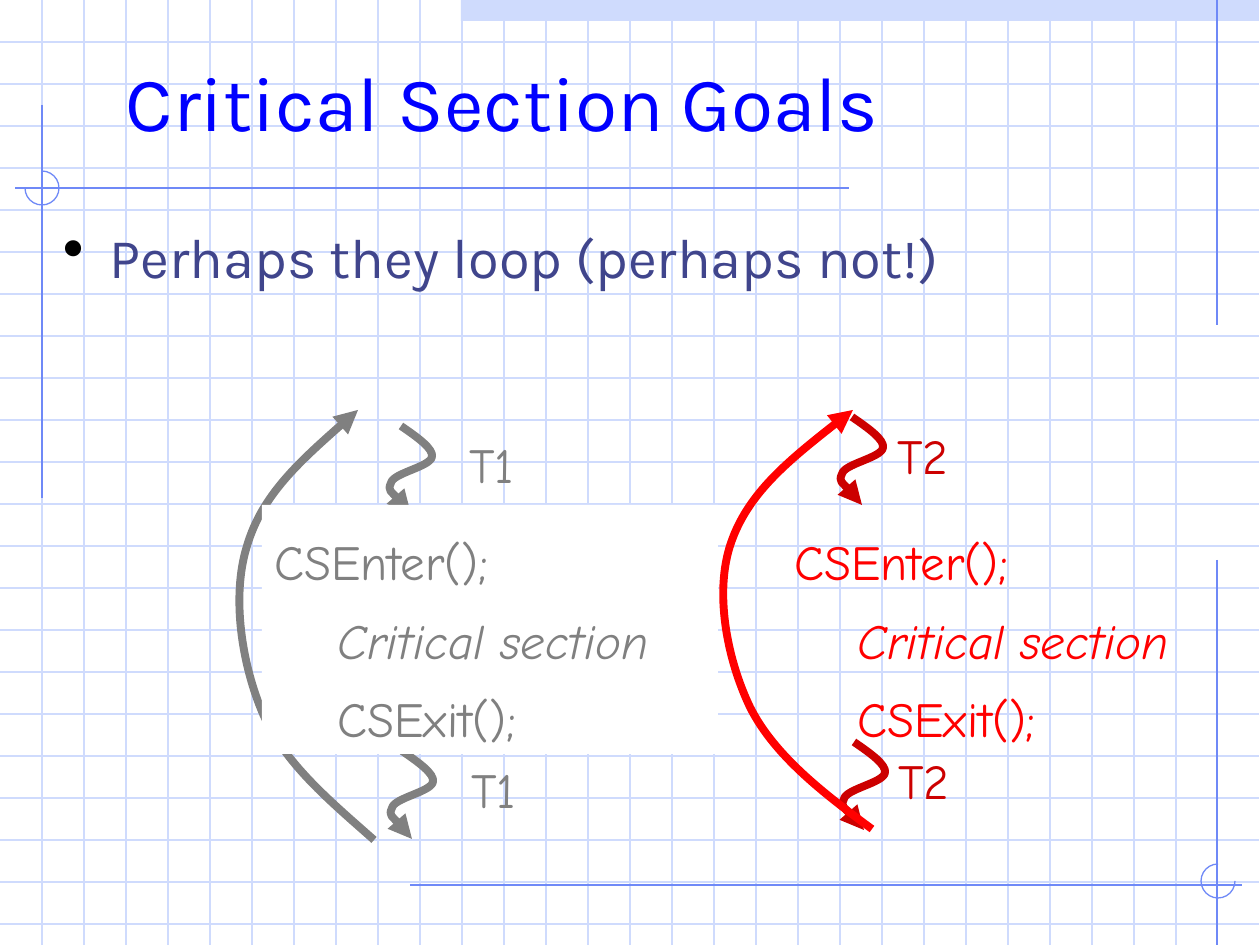
from dataclasses import dataclass

from lxml.etree import SubElement
from pptx import Presentation
from pptx.dml.color import RGBColor
from pptx.enum.shapes import MSO_CONNECTOR, MSO_SHAPE
from pptx.enum.text import MSO_ANCHOR, MSO_AUTO_SIZE, PP_ALIGN
from pptx.oxml.ns import qn
from pptx.util import Pt

SCALE = 914400 / 126  # EMU per px
WIDTH, HEIGHT, GRID = 1260, 945, 42

PALE_BLUE = RGBColor(0xCF, 0xDB, 0xFD)
RULE_BLUE = RGBColor(0x6F, 0x89, 0xF7)
TITLE_BLUE = RGBColor(0x00, 0x00, 0xFF)
BODY_BLUE = RGBColor(0x40, 0x45, 0x8C)
GREY = RGBColor(0x80, 0x80, 0x80)
DARK_RED = RGBColor(0xCC, 0x00, 0x00)
RED = RGBColor(0xFF, 0x00, 0x00)
WHITE = RGBColor(0xFF, 0xFF, 0xFF)

CODE_LINES = ("CSEnter();", "Critical section", "CSExit();")
SQUIGGLE = [(0, 0), (16, 11), (33, 23), (31, 31), (29, 41), (-8, 47),
            (-10, 57), (-14, 65), (6, 82), (10, 88)]


@dataclass(frozen=True)
class Step:
    """A squiggly arrow for a running thread, with the thread's name."""
    thread: str
    x: int
    y: int
    label_dx: int
    label_width: int
    color: RGBColor


@dataclass(frozen=True)
class Loop:
    """Start, controls and ends of the Bezier curve back to the top."""
    points: tuple[tuple[int, int], ...]
    color: RGBColor


BEFORE = (Step("T1", 401, 426, 56, 69, GREY), Step("T2", 852, 417, 33, 76, DARK_RED))
AFTER = (Step("T1", 402, 751, 57, 69, GREY), Step("T2", 854, 742, 32, 76, DARK_RED))
LOOPS = (
    Loop(((374, 840), (330, 801), (285, 764), (263, 714), (242, 665), (231, 597),
          (247, 546), (262, 495), (310, 452), (358, 410)), GREY),
    Loop(((872, 829), (823, 793), (774, 755), (750, 707), (727, 659), (714, 592),
          (731, 543), (748, 493), (800, 451), (853, 410)), RED),
)


def px(length: int) -> int:
    return round(length * SCALE)


def add_rule(shapes, x1: int, y1: int, x2: int, y2: int, color: RGBColor) -> None:
    rule = shapes.add_connector(MSO_CONNECTOR.STRAIGHT, px(x1), px(y1), px(x2), px(y2))
    rule.line.color.rgb = color
    rule.line.width = Pt(0.75)
    SubElement(rule._element.spPr, qn("a:effectLst"))


def add_ring(shapes, x: int, y: int, start: int, end: int) -> None:
    """Three quarters of a circle, clockwise between two angles in degrees."""
    ring = shapes.add_shape(MSO_SHAPE.ARC, px(x), px(y), px(34), px(34))
    ring.adjustments[0] = start * 0.6
    ring.adjustments[1] = end * 0.6
    ring.shadow.inherit = False
    ring.fill.background()
    ring.line.color.rgb = RULE_BLUE
    ring.line.width = Pt(0.75)


def add_block(shapes, left: int, top: int, width: int, height: int, fill: RGBColor):
    block = shapes.add_shape(MSO_SHAPE.RECTANGLE, px(left), px(top), px(width), px(height))
    block.shadow.inherit = False
    block.fill.solid()
    block.fill.fore_color.rgb = fill
    block.line.fill.background()
    return block


def add_curved_arrow(shapes, points, color: RGBColor) -> None:
    builder = shapes.build_freeform(*points[0], scale=SCALE)
    builder.add_line_segments(points[1:], close=False)
    arrow = builder.convert_to_shape()
    arrow.shadow.inherit = False
    arrow.fill.background()
    arrow.line.color.rgb = color
    arrow.line.width = Pt(4.5)
    SubElement(arrow.line._get_or_add_ln(), qn("a:tailEnd"), type="triangle")
    # Each three straight segments become one cubic curve
    path = arrow._element.spPr.find(".//" + qn("a:path"))
    segments = path.findall(qn("a:lnTo"))
    for first in range(0, len(segments), 3):
        curve = SubElement(path, qn("a:cubicBezTo"))
        for segment in segments[first:first + 3]:
            curve.append(segment[0])
            path.remove(segment)


def write(frame, text: str, *, size: int, font: str, color: RGBColor, spacing: float,
          italic: bool = False, align=PP_ALIGN.LEFT, anchor=MSO_ANCHOR.MIDDLE,
          wrap: bool = True, margins: tuple[float, float] = (0, 0), indent: int = 0,
          hanging: int = 0, before: int = 0, bullet: str = "", new: bool = False) -> None:
    """Write one paragraph, the first in the frame unless new is set."""
    frame.word_wrap = wrap
    if not wrap:
        frame.auto_size = MSO_AUTO_SIZE.SHAPE_TO_FIT_TEXT
    frame.vertical_anchor = anchor
    frame.margin_left = frame.margin_right = Pt(margins[0])
    frame.margin_top = frame.margin_bottom = Pt(margins[1])
    paragraph = frame.add_paragraph() if new else frame.paragraphs[0]
    paragraph.alignment = align
    paragraph.line_spacing = spacing
    paragraph.space_before = Pt(before)
    properties = paragraph._p.get_or_add_pPr()
    properties.set("marL", str(px(indent)))
    properties.set("indent", str(px(-hanging)))
    if bullet:
        bullet_color = SubElement(properties, qn("a:buClr"))
        SubElement(bullet_color, qn("a:srgbClr"), val="000000")
        SubElement(properties, qn("a:buSzPct"), val="110000")
        SubElement(properties, qn("a:buChar"), char=bullet)
        # The bullet takes its height from the list style
        level = SubElement(frame._txBody.find(qn("a:lstStyle")), qn("a:lvl1pPr"))
        defaults = SubElement(level, qn("a:defRPr"), sz=str(size * 100))
        SubElement(defaults, qn("a:latin"), typeface=font)
    run = paragraph.add_run()
    run.text = text
    run.font.size = Pt(size)
    run.font.name = font
    run.font.italic = italic
    run.font.color.rgb = color


def add_frame(shapes, left: int, top: int, width: int, height: int):
    return shapes.add_textbox(px(left), px(top), px(width), px(height)).text_frame


def write_code(frame, color: RGBColor) -> None:
    for row, text in enumerate(CODE_LINES):
        write(frame, text, size=28, font="Comic Neue", color=color, spacing=1.34,
              margins=(7.2, 3.6), indent=63 if row else 0, italic=row == 1, new=row > 0)


def add_step(shapes, step: Step) -> None:
    add_curved_arrow(shapes, [(step.x + dx, step.y + dy) for dx, dy in SQUIGGLE], step.color)
    label = add_frame(shapes, step.x + step.label_dx, step.y - 18, step.label_width, 92)
    write(label, step.thread, size=28, font="Comic Neue", color=step.color, spacing=1.34,
          align=PP_ALIGN.CENTER, wrap=False, margins=(0, 3.6))


def main() -> None:
    deck = Presentation()
    deck.slide_width, deck.slide_height = px(WIDTH), px(HEIGHT)
    shapes = deck.slides.add_slide(deck.slide_layouts[6]).shapes

    # Graph paper
    add_block(shapes, 461, 0, 798, 21, PALE_BLUE)
    for y in range(GRID, HEIGHT, GRID):
        add_rule(shapes, 0, y, WIDTH - 1, y, PALE_BLUE)
    for x in range(GRID, WIDTH - GRID, GRID):
        add_rule(shapes, x, 0, x, HEIGHT, PALE_BLUE)

    # Drafting lines and rings
    for ends in ((1217, 0, 1217, 325), (42, 105, 42, 498), (849, 188, 15, 188),
                 (410, 885, 1242, 885), (1217, 560, 1217, 955)):
        add_rule(shapes, *ends, RULE_BLUE)
    add_ring(shapes, 25, 171, 270, 180)
    add_ring(shapes, 1201, 864, 0, 270)

    # Title and bullet
    write(add_frame(shapes, 126, 0, 1071, 198), "Critical Section Goals",
          size=44, font="Karla", color=TITLE_BLUE, spacing=1.04)
    write(add_frame(shapes, 63, 220, 1134, 624), "Perhaps they loop (perhaps not!)",
          size=32, font="Karla", color=BODY_BLUE, spacing=1.04, anchor=MSO_ANCHOR.TOP,
          indent=47, hanging=47, before=8, bullet="•")

    # Two threads; the white block hides part of the first thread's arrows
    for step in BEFORE:
        add_step(shapes, step)
    write_code(add_frame(shapes, 782, 505, 456, 249), RED)
    for step in AFTER:
        add_step(shapes, step)
    for loop in LOOPS:
        add_curved_arrow(shapes, loop.points, loop.color)
    write_code(add_block(shapes, 262, 505, 456, 249, WHITE).text_frame, GREY)

    deck.save("out.pptx")


if __name__ == "__main__":
    main()
